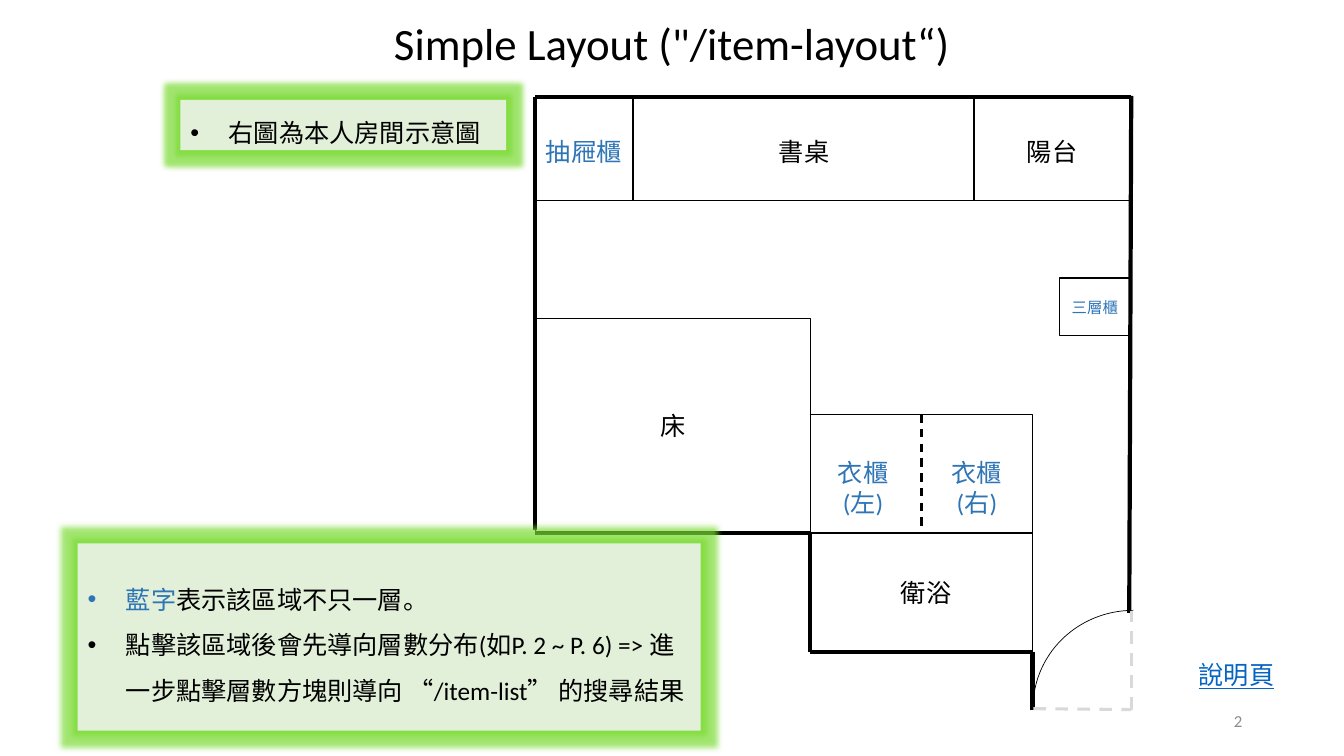
import pptx
import pptx.util
import pptx.dml.color
import pptx.enum.dml
import pptx.enum.shapes
import pptx.enum.text
import pptx.oxml
import pptx.oxml.ns
import lxml.etree

Inches, Pt = pptx.util.Inches, pptx.util.Pt
RGB = pptx.dml.color.RGBColor.from_string
SHAPE = pptx.enum.shapes.MSO_SHAPE
DASH = pptx.enum.dml.MSO_LINE.DASH
ANCHOR = pptx.enum.text.MSO_ANCHOR
FIT = pptx.enum.text.MSO_AUTO_SIZE.SHAPE_TO_FIT_TEXT
LEFT, CENTER, RIGHT = (pptx.enum.text.PP_ALIGN.LEFT, pptx.enum.text.PP_ALIGN.CENTER,
                       pptx.enum.text.PP_ALIGN.RIGHT)
qn = pptx.oxml.ns.qn

THEME = {
    "ink": "000000", "blue": "2E75B6", "link": "0563C1", "grey": "8C8C8C",
    "door": "D9D9D9", "note": "E2F0D9", "glow": "7ADB33",
    "latin": "Calibri", "cjk": "Noto Sans CJK SC",
    "title": 32, "body": 18, "page": 12, "small": 11,
    "wall": 3, "swing": 2.25, "divider": 1.5, "room": 1, "arc": 0.5,
}

prs = pptx.Presentation()
prs.slide_width, prs.slide_height = Inches(13.33), Inches(7.5)
s = prs.slides.add_slide(prs.slide_layouts[6])

# Floor plan grid: columns (x) and rows (y)
X = {"west": 5.31, "desk": 6.28, "bath": 8.04, "balcony": 9.66,
     "entry": 10.24, "shelf": 10.51, "east": 11.21}
Y = {"north": 0.97, "desk": 1.99, "shelf": 2.76, "bed": 3.16, "shelf_end": 3.33,
     "wardrobe": 4.11, "bath": 5.29, "door": 6.06, "bath_end": 6.47, "south": 7.04}


def style(p, parts, size, align=LEFT):
    """Write (text, colour) parts into a paragraph."""
    p.alignment = align
    for text, color in parts:
        r = p.add_run()
        r.text = text
        r.font.size = Pt(THEME[size])
        r.font.name = THEME["latin"]
        r.font.color.rgb = RGB(THEME[color])
        ea = lxml.etree.SubElement(r._r.get_or_add_rPr(), qn("a:ea"))
        ea.set("typeface", THEME["cjk"])


def line(x1, y1, x2, y2, color, width, dash=None):
    """Draw a straight line between two points of the plan."""
    c = s.shapes.add_connector(pptx.enum.shapes.MSO_CONNECTOR.STRAIGHT,
                               Inches(x1), Inches(y1), Inches(x2), Inches(y2))
    c.line.color.rgb = RGB(THEME[color])
    c.line.width = Pt(THEME[width])
    if dash:
        c.line.dash_style = dash
    lxml.etree.SubElement(c._element.spPr, qn("a:effectLst"))
    return c


# Rooms and furniture: left, top, right, bottom
rooms = {}
for name, x1, y1, x2, y2 in [
    ("balcony", "balcony", "north", "east", "desk"),
    ("desk", "desk", "north", "balcony", "desk"),
    ("drawers", "west", "north", "desk", "desk"),
    ("bed", "west", "bed", "bath", "bath"),
    ("bath", "bath", "bath", "entry", "bath_end"),
    ("shelf", "shelf", "shelf", "east", "shelf_end"),
    ("wardrobe", "bath", "wardrobe", "entry", "bath"),
]:
    sp = s.shapes.add_shape(SHAPE.RECTANGLE, Inches(X[x1]), Inches(Y[y1]),
                            Inches(X[x2] - X[x1]), Inches(Y[y2] - Y[y1]))
    sp.shadow.inherit = False
    sp.fill.background()
    sp.line.color.rgb = RGB(THEME["ink"])
    sp.line.width = Pt(THEME["room"])
    rooms[name] = sp

# Outer walls
for x1, y1, x2, y2 in [
    (X["west"], 0.96, 11.22, 0.96),
    (11.22, 0.95, 11.2, 6.08),
    (X["west"], 0.96, X["west"], 5.26),
    (X["west"], Y["bath"], 8.03, Y["bath"]),
    (8.03, Y["bath"], 8.03, Y["bath_end"]),
    (8.03, Y["bath_end"], X["entry"], Y["bath_end"]),
    (X["entry"], Y["bath_end"], X["entry"], Y["south"]),
]:
    line(x1, y1, x2, y2, "ink", "wall")

# Door swing
sp = s.shapes.add_shape(SHAPE.ARC, Inches(10.27), Inches(6.03), Inches(1.94), Inches(1.99))
sp.rotation = 270
sp.shadow.inherit = False
sp.fill.background()
sp.line.color.rgb = RGB(THEME["ink"])
sp.line.width = Pt(THEME["arc"])
line(10.25, 7.03, 11.22, Y["south"], "door", "swing", DASH.DASH)
line(11.22, Y["south"], 11.22, Y["door"], "door", "swing", DASH.DASH)

# Wardrobe divider
middle = (X["bath"] + X["entry"]) / 2
c = line(middle, Y["wardrobe"], middle, Y["bath"], "ink", "divider", DASH.DASH)
c.begin_connect(rooms["wardrobe"], 0)
c.end_connect(rooms["wardrobe"], 2)

# Title, room labels, link and page number
TOP, MID = ANCHOR.TOP, ANCHOR.MIDDLE
for text, x, y, w, h, size, color, align, anchor in [
    ('Simple Layout ("/item-layout“)', 2.93, 0.1, 7.47, 0.64, "title", "ink", CENTER, MID),
    ("陽台", X["balcony"], 1.3, 1.55, 0.4, "body", "ink", CENTER, TOP),
    ("書桌", 7.41, 1.3, 1.13, 0.4, "body", "ink", CENTER, TOP),
    ("抽屜櫃", X["west"], 1.3, 0.96, 0.4, "body", "blue", CENTER, TOP),
    ("床", 6.02, 4.02, 1.32, 0.4, "body", "ink", CENTER, TOP),
    ("衛浴", 8.66, 5.68, 1.05, 0.4, "body", "ink", CENTER, TOP),
    ("三層櫃", X["shelf"], 2.91, 0.7, 0.29, "small", "blue", CENTER, TOP),
    ("衣櫃(左)", X["bath"], 4.49, 1.04, 0.4, "body", "blue", CENTER, TOP),
    ("衣櫃(右)", 9.17, 4.49, 1.04, 0.4, "body", "blue", CENTER, TOP),
    ("說明頁", 11.79, 6.49, 0.97, 0.4, "body", "link", LEFT, MID),
    ("2", 9.42, 6.95, 3, 0.4, "page", "grey", RIGHT, MID),
]:
    tf = s.shapes.add_textbox(Inches(x), Inches(y), Inches(w), Inches(h)).text_frame
    tf.word_wrap = True
    tf.auto_size = FIT
    tf.vertical_anchor = anchor
    style(tf.paragraphs[0], [(text, color)], size, align)
    tf.paragraphs[0].runs[0].font.underline = True if color == "link" else None

# Glowing notes with bullets
for x, y, w, h, paragraphs in [
    (1.79, 0.99, 3.23, 0.5, [[("右圖為本人房間示意圖", "ink")]]),
    (0.77, 5.39, 6.18, 1.86, [
        [("藍字", "blue"), ("表示該區域不只一層。", "ink")],
        [("點擊該區域後會先導向層數分布(如P. 2 ~ P. 6) => "
          "進一步點擊層數方塊則導向 “/item-list” 的搜尋結果", "ink")],
    ]),
]:
    sp = s.shapes.add_shape(SHAPE.RECTANGLE, Inches(x), Inches(y), Inches(w), Inches(h))
    sp.shadow.inherit = False
    sp.fill.solid()
    sp.fill.fore_color.rgb = RGB(THEME["note"])
    sp.line.fill.background()
    effects = sp._element.spPr.find(qn("a:effectLst"))
    glow = lxml.etree.SubElement(effects, qn("a:glow"), rad=str(Inches(0.11)))
    tint = lxml.etree.SubElement(glow, qn("a:srgbClr"), val=THEME["glow"])
    lxml.etree.SubElement(tint, qn("a:alpha"), val="70000")
    tf = sp.text_frame
    tf.word_wrap = True
    tf.auto_size = FIT
    tf.vertical_anchor = MID
    for i, parts in enumerate(paragraphs):
        p = tf.add_paragraph() if i else tf.paragraphs[0]
        style(p, parts, "body")
        p.line_spacing = 1.5
        pPr = p._p.get_or_add_pPr()
        pPr.set("marL", str(Inches(0.38)))
        pPr.set("indent", str(-Inches(0.38)))
        lxml.etree.SubElement(pPr, qn("a:buFont"), typeface="Arial")
        lxml.etree.SubElement(pPr, qn("a:buChar"), char="•")

prs.save("out.pptx")
